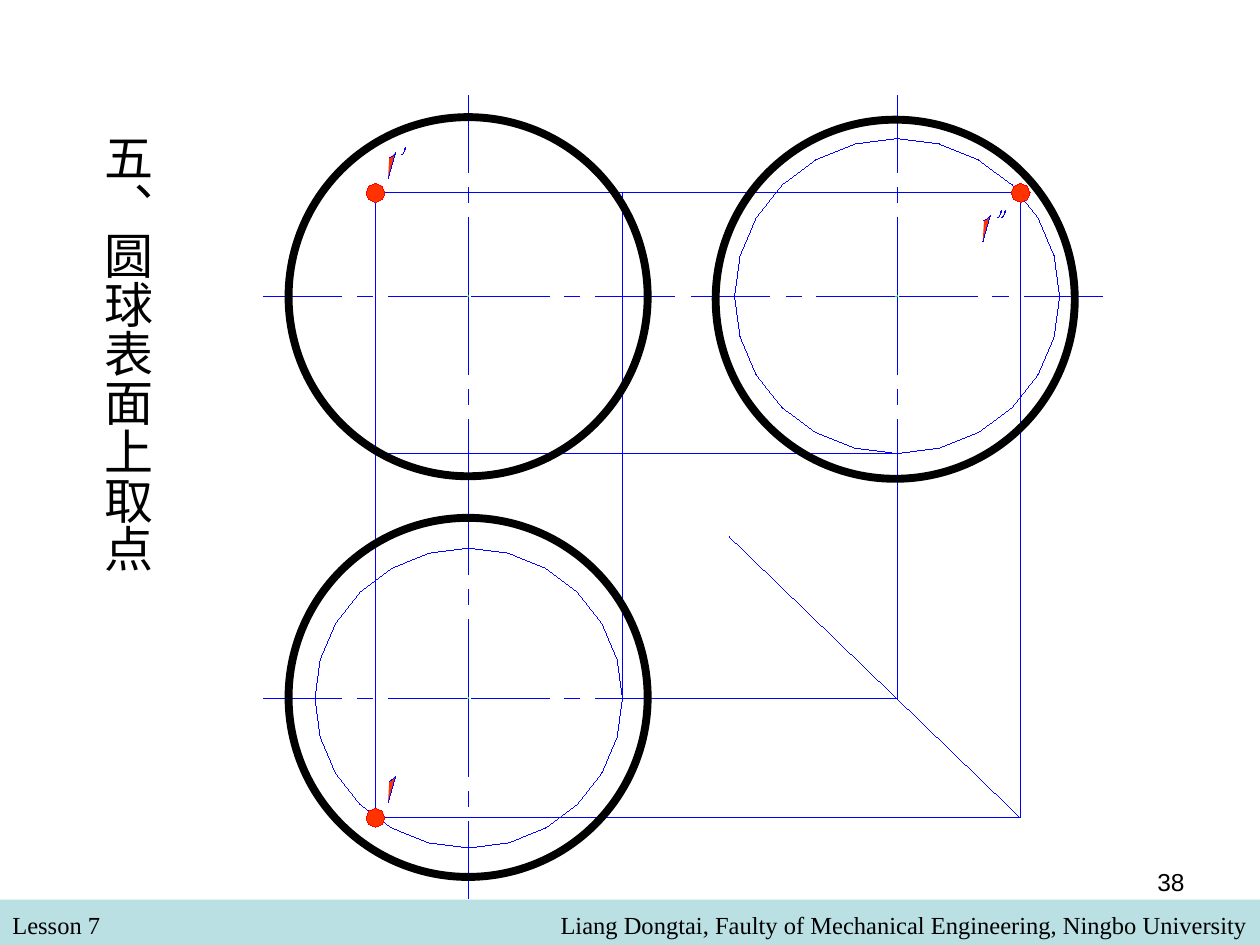
import math
import pptx
import pptx.dml.color
import pptx.enum.shapes
import pptx.enum.text
import pptx.oxml.ns
import pptx.util
from lxml import etree

# Content
TITLE = "五、圆球表面上取点"
LESSON = "Lesson 7"
AUTHOR = "Liang Dongtai, Faulty of Mechanical Engineering, Ningbo University"
PAGE = "38"
COLORS = {"line": "0000FF", "center": "00FF00", "point": "FF3300",
          "point_edge": "FF0000", "ink": "000000", "band": "BBE0E3"}

# Drawing grid in inches: columns and rows shared by the three views
WIDTH, HEIGHT = 10, 7.5
BAND_TOP = 7.14
FRONT_X, SIDE_X = 3.72, 7.12
FRONT_Y, TOP_Y = 2.35, 5.54
POINT_X, POINT_SIDE_X = 2.98, 8.1
POINT_Y, POINT_TOP_Y = 1.53, 6.49
SECTION_X, SECTION_Y = 4.94, 3.6
DIAMETER = 2.85
HAIRLINE = pptx.util.Emu(1)  # a width of 0 would fall back to the theme's

VIEWS = [(FRONT_X, FRONT_Y), (FRONT_X, TOP_Y), (SIDE_X, FRONT_Y)]
OUTLINES = [(2.29, 4.11), (5.68, 0.95), (2.29, 0.93)]
# Section circles: centre x, centre y, horizontal and vertical radius
SECTIONS = [(FRONT_X, TOP_Y, 1.22, 1.19), (SIDE_X, FRONT_Y, 1.29, 1.25)]
PROJECTION_LINES = [
    (POINT_X, POINT_Y, POINT_X, POINT_TOP_Y),
    (POINT_X, POINT_Y, POINT_SIDE_X, POINT_Y),
    (POINT_X, POINT_TOP_Y, POINT_SIDE_X, POINT_TOP_Y),
    (POINT_SIDE_X, POINT_Y, POINT_SIDE_X, POINT_TOP_Y),
    (SECTION_X, POINT_Y, SECTION_X, TOP_Y),
    (POINT_X, SECTION_Y, SIDE_X, SECTION_Y),
    (5.35, TOP_Y, SIDE_X, TOP_Y),
    (SIDE_X, 3.93, SIDE_X, TOP_Y),
    (5.79, 4.26, POINT_SIDE_X, POINT_TOP_Y),
]
# Centre-line dashes, measured outward from the centre on both sides
ROW_DASHES = [(0.02, 0.64), (0.76, 0.88), (1.01, 1.63)]
COLUMN_DASHES = [(0.01, 0.62), (0.74, 0.86), (0.98, 1.59)]
# Points: centre, corner of the numeral, offsets of its primes
POINTS = [
    (POINT_X, POINT_Y, 3.08, 1.21, [0.11]),
    (POINT_X, POINT_TOP_Y, 3.08, 6.16, []),
    (POINT_SIDE_X, POINT_Y, 7.8, 1.71, [0.12, 0.15]),
]
POINT_RADIUS = 0.075
NUMERAL = [(0.01, 0.04), (0.03, 0.03), (0.06, 0), (0, 0.21)]
PRIME = [(0.03, 0.01), (0.02, 0.02), (0.02, 0.01), (0.03, 0),
         (0.03, 0.01), (0.02, 0.03), (0.01, 0.05), (0, 0.06)]

presentation = pptx.Presentation()
presentation.slide_width = pptx.util.Inches(WIDTH)
presentation.slide_height = pptx.util.Inches(HEIGHT)
slide = presentation.slides.add_slide(presentation.slide_layouts[6])


def rgb(name):
    return pptx.dml.color.RGBColor.from_string(COLORS[name])


def inches(*values):
    return [pptx.util.Inches(value) for value in values]


def style(shape, fill=None, line=None, width=HAIRLINE):
    shape.shadow.inherit = False
    if fill:
        shape.fill.solid()
        shape.fill.fore_color.rgb = rgb(fill)
    else:
        shape.fill.background()
    if line:
        shape.line.color.rgb = rgb(line)
        shape.line.width = width
    else:
        shape.line.fill.background()


def add_line(x1, y1, x2, y2, color="line"):
    connector = slide.shapes.add_connector(
        pptx.enum.shapes.MSO_CONNECTOR.STRAIGHT, *inches(x1, y1, x2, y2))
    connector.line.color.rgb = rgb(color)
    connector.line.width = HAIRLINE
    properties = connector._element.spPr
    etree.SubElement(properties, pptx.oxml.ns.qn("a:effectLst"))


def add_outline(vertices, close, fill=None, line="line"):
    corners = [inches(x, y) for x, y in vertices]
    builder = slide.shapes.build_freeform(*corners[0])
    builder.add_line_segments(corners[1:], close=close)
    style(builder.convert_to_shape(), fill, line)


def add_polygon(x, y, radius_x, radius_y, sides, fill=None, line="line"):
    angles = [2 * math.pi * index / sides for index in range(sides)]
    add_outline([(x + radius_x * math.cos(angle), y + radius_y * math.sin(angle))
                 for angle in angles], True, fill, line)


def add_strokes(strokes, x, y):
    add_outline([(x + dx, y + dy) for dx, dy in strokes], False, "point")


def add_text(box, text, size, font, align,
             insets=(0.1, 0.05, 0.1, 0.05), vertical=False):
    shape = slide.shapes.add_textbox(*inches(*box))
    frame = shape.text_frame
    frame.word_wrap = True
    (frame.margin_left, frame.margin_top,
     frame.margin_right, frame.margin_bottom) = inches(*insets)
    if vertical:
        frame._txBody.bodyPr.set("vert", "eaVert")
    paragraph = frame.paragraphs[0]
    paragraph.alignment = align
    run = paragraph.add_run()
    run.text = text
    run.font.size = pptx.util.Pt(size)
    run.font.name = font
    run.font.color.rgb = rgb("ink")


# Footer band
band = slide.shapes.add_shape(
    pptx.enum.shapes.MSO_SHAPE.RECTANGLE,
    *inches(0, BAND_TOP, WIDTH, HEIGHT - BAND_TOP))
style(band, fill="band")
ALIGN = pptx.enum.text.PP_ALIGN
add_text((0, 7.17, 4.83, 0.34), LESSON, 14, "Times New Roman", ALIGN.LEFT)
add_text((1.83, 7.17, 8.17, 0.34), AUTHOR, 14, "Times New Roman", ALIGN.RIGHT)

# Section circles and projection lines
for section in SECTIONS:
    add_polygon(*section, sides=24)
for line in PROJECTION_LINES:
    add_line(*line)

# Points with their numerals and primes
for x, y, label_x, label_y, primes in POINTS:
    add_polygon(x, y, POINT_RADIUS, POINT_RADIUS, 8, "point", "point_edge")
    add_strokes(NUMERAL, label_x, label_y)
    for offset in primes:
        add_strokes(PRIME, label_x + offset, label_y - 0.04)

# Centre lines of the views
for x, y in VIEWS:
    add_line(x - 0.01, y, x, y, "center")
    add_line(x, y - 0.01, x, y, "center")
    for side in (-1, 1):
        for start, end in ROW_DASHES:
            add_line(x + side * start, y, x + side * end, y)
        for start, end in COLUMN_DASHES:
            add_line(x, y + side * start, x, y + side * end)

# Sphere outlines
for left, top in OUTLINES:
    circle = slide.shapes.add_shape(
        pptx.enum.shapes.MSO_SHAPE.OVAL, *inches(left, top, DIAMETER, DIAMETER))
    style(circle, line="ink", width=pptx.util.Pt(4.5))

# Title and page number
add_text((0.63, 0.76, 0.66, 4.1), TITLE, 28, "Arial", ALIGN.LEFT,
         (0.05, 0.3, 0.05, 0.1), vertical=True)
add_text((7.17, 6.83, 2.33, 0.52), PAGE, 14, "Arial", ALIGN.RIGHT)

presentation.save("out.pptx")
